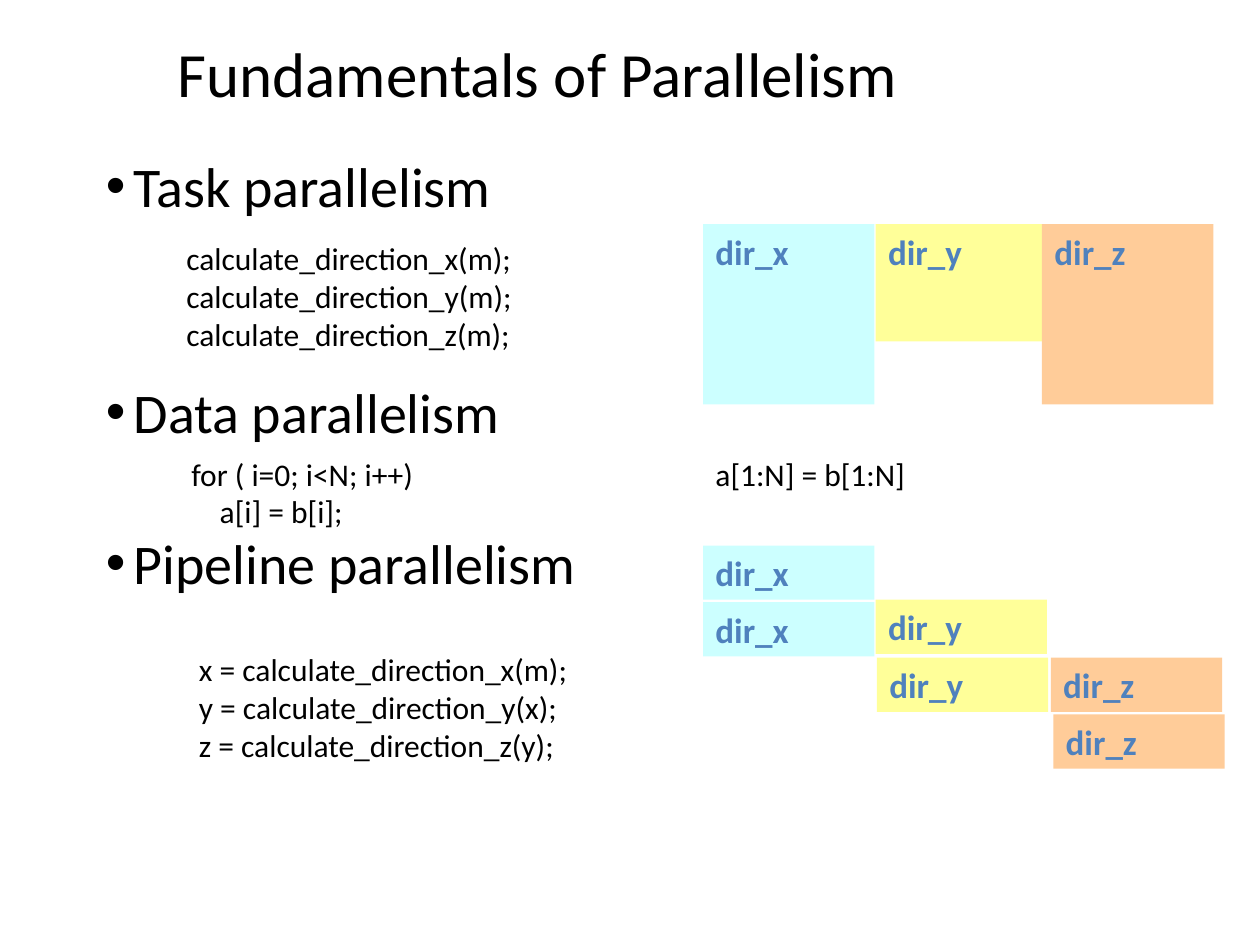
from pptx import Presentation
from pptx.dml.color import RGBColor
from pptx.enum.shapes import MSO_SHAPE as Shape
from pptx.enum.text import MSO_ANCHOR as Anchor, MSO_AUTO_SIZE as AutoSize, PP_ALIGN as Align
from pptx.util import Inches, Pt

BLACK = RGBColor(0x00, 0x00, 0x00)
BLUE = RGBColor(0x4F, 0x81, 0xBD)
CYAN = RGBColor(0xCC, 0xFF, 0xFF)
YELLOW = RGBColor(0xFF, 0xFF, 0x99)
ORANGE = RGBColor(0xFF, 0xCC, 0x99)

TITLE_FONT = {"name": "Calibri", "size": Pt(36)}
BULLET_FONT = {"name": "Calibri", "size": Pt(32)}
CODE_FONT = {"name": "Calibri", "size": Pt(18)}
TASK_FONT = {"name": "Calibri", "size": Pt(20), "bold": True}

FILLS = {"dir_x": CYAN, "dir_y": YELLOW, "dir_z": ORANGE}
BLOCK_WIDTH = 1.36
STEP_HEIGHT = 0.43

BULLETS = [("Task parallelism", 0), ("Data parallelism", 91), ("Pipeline parallelism", 48)]
CODE_BOXES = [
    (1.38, 1.85, 5.68, 1, [f"calculate_direction_{axis}(m);" for axis in "xyz"]),
    (1.42, 3.56, 3.54, 0.7, ["for ( i=0; i<N; i++)", "    a[i] = b[i];"]),
    (1.48, 5.11, 5.68, 1, [f"{axis} = calculate_direction_{axis}({source});"
                           for axis, source in zip("xyz", "mxy")]),
    (5.58, 3.56, 3.54, 0.4, ["a[1:N] = b[1:N]"]),
]
TASK_BLOCKS = [
    ("dir_x", 5.58, 1.78, 1.43),
    ("dir_y", 6.95, 1.78, 0.93),
    ("dir_z", 8.27, 1.78, 1.43),
]
PIPELINE_BLOCKS = [
    ("dir_x", 5.58, 4.33, STEP_HEIGHT),
    ("dir_y", 6.95, 4.76, STEP_HEIGHT),
    ("dir_z", 8.34, 5.22, STEP_HEIGHT),
    ("dir_x", 5.58, 4.78, STEP_HEIGHT),
    ("dir_y", 6.96, 5.22, STEP_HEIGHT),
    ("dir_z", 8.36, 5.67, STEP_HEIGHT),
]


def place(box, left, top, width, height):
    """Move and size a box given in inches."""
    frame = {"left": left, "top": top, "width": width, "height": height}
    for name, value in frame.items():
        setattr(box, name, Inches(value))


def write(para, text, font, color=BLACK):
    """Add one formatted span of text to a paragraph."""
    span = para.add_run()
    span.text = text
    for name, value in font.items():
        setattr(span.font, name, value)
    span.font.color.rgb = color


def write_lines(frame, lines, font):
    """Write each line as a paragraph and return the paragraphs."""
    paras = []
    for index, line in enumerate(lines):
        para = frame.add_paragraph() if index else frame.paragraphs[0]
        write(para, line, font)
        paras.append(para)
    return paras


def fill_title(page):
    """Set the slide title."""
    title = page.shapes.title
    place(title, 0.75, 0.25, 7.03, 0.64)
    frame = title.text_frame
    frame.auto_size = AutoSize.NONE
    frame.vertical_anchor = Anchor.MIDDLE
    write_lines(frame, ["Fundamentals of Parallelism"], TITLE_FONT)[0].alignment = Align.CENTER


def fill_bullets(page):
    """Write the kinds of parallelism into the body placeholder."""
    body = page.placeholders[1]
    place(body, 0.74, 1.15, 8.5, 5.12)
    body.text_frame.auto_size = AutoSize.NONE
    paras = write_lines(body.text_frame, [text for text, _ in BULLETS], BULLET_FONT)
    for para, (_, gap) in zip(paras, BULLETS):
        para.space_before = Pt(gap)
        properties = para._p.get_or_add_pPr()
        properties.set("marL", str(Inches(0.22)))
        properties.set("indent", str(Inches(-0.22)))


def add_code(page, left, top, width, height, lines):
    """Add a text box with lines of code."""
    box = page.shapes.add_textbox(*map(Inches, (left, top, width, height)))
    box.text_frame.word_wrap = True
    write_lines(box.text_frame, lines, CODE_FONT)


def add_block(page, label, left, top, height):
    """Add a coloured block for one direction."""
    box = page.shapes.add_shape(Shape.RECTANGLE, *map(Inches, (left, top, BLOCK_WIDTH, height)))
    box.shadow.inherit = False
    box.fill.solid()
    box.fill.fore_color.rgb = FILLS[label]
    box.line.fill.background()
    box.text_frame.vertical_anchor = Anchor.TOP
    para = box.text_frame.paragraphs[0]
    para.alignment = Align.LEFT
    write(para, label, TASK_FONT, BLUE)


def main():
    """Build the slide and save it."""
    deck = Presentation()
    deck.slide_width, deck.slide_height = Inches(10), Inches(7.5)
    page = deck.slides.add_slide(deck.slide_layouts[1])
    fill_title(page)
    fill_bullets(page)
    for code in CODE_BOXES:
        add_code(page, *code)
    for block in TASK_BLOCKS + PIPELINE_BLOCKS:
        add_block(page, *block)
    deck.save("out.pptx")


if __name__ == "__main__":
    main()
